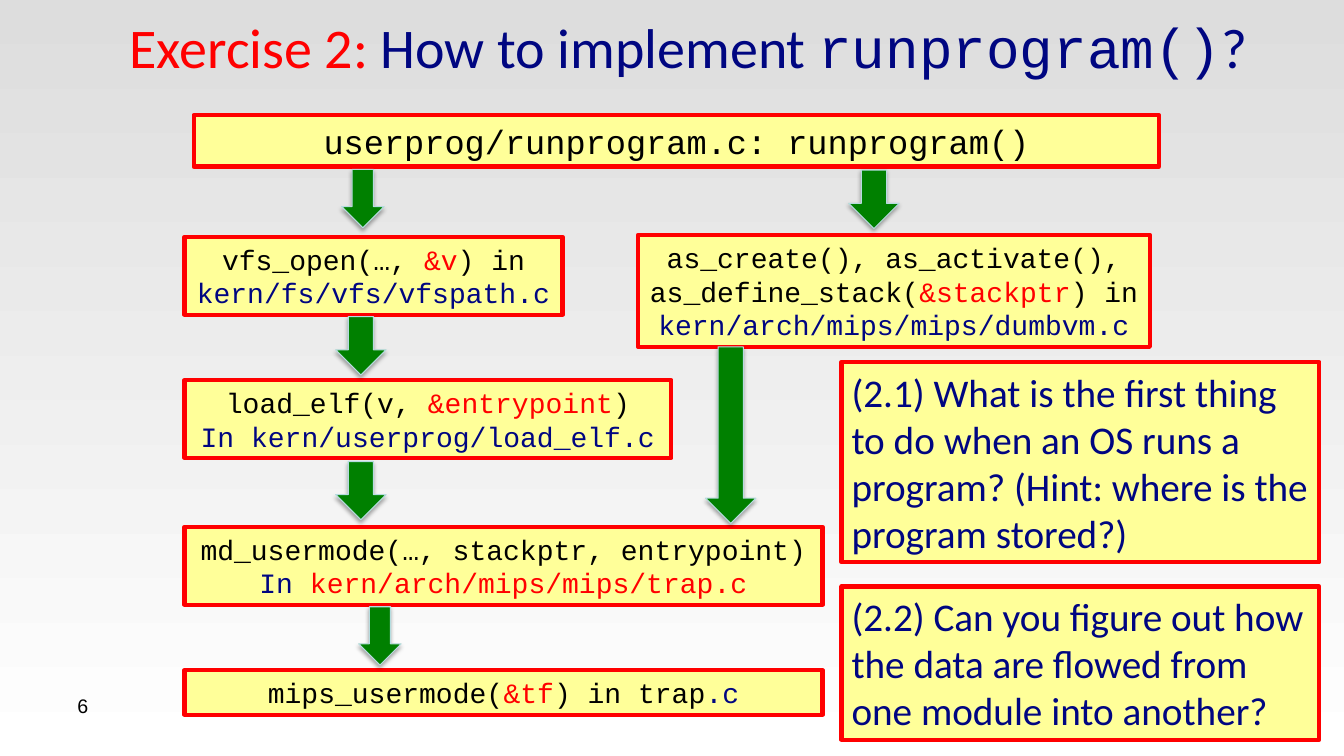
"""Build the slide on how runprogram() is implemented."""
from lxml.etree import SubElement
from pptx import Presentation
from pptx.dml.color import RGBColor
from pptx.enum.shapes import MSO_SHAPE as Shape
from pptx.enum.text import MSO_ANCHOR as Anchor, MSO_AUTO_SIZE as AutoSize, PP_ALIGN as Align
from pptx.oxml.ns import qn
from pptx.util import Cm, Pt

RED, NAVY, BLACK = "FF0000", "000681", "000000"
YELLOW, GREEN, PALE_BLUE = "FFFF99", "008000", "B6DCDF"
CODE, BODY = "Courier New", "Calibri"


def color(value):
    return RGBColor.from_string(value)


def write(box, lines, size, font, align=Align.LEFT, anchor=Anchor.MIDDLE, fit=AutoSize.NONE):
    frame = box.text_frame
    layout = {"word_wrap": True, "vertical_anchor": anchor, "auto_size": fit}
    for name, value in layout.items():
        setattr(frame, name, value)
    for index, line in enumerate(lines):
        para = frame.add_paragraph() if index else frame.paragraphs[0]
        para.alignment = align
        for text, shade, *other_font in line:
            span = para.add_run()
            span.text = text
            style = {"size": Pt(size), "name": other_font[0] if other_font else font}
            for name, value in style.items():
                setattr(span.font, name, value)
            span.font.color.rgb = color(shade)


deck = Presentation()
deck.slide_width, deck.slide_height = Cm(33.87), Cm(19.05)
page = deck.slides.add_slide(deck.slide_layouts[6])

backdrop = page.background.fill
backdrop.gradient()
backdrop.gradient_angle = 270
for stop, shade in zip(backdrop.gradient_stops, ("DDDDDD", "FFFFFF")):
    stop.color.rgb = color(shade)

title = page.shapes.add_textbox(Cm(1.9), Cm(0.43), Cm(30.89), Cm(1.47))
write(title, [[("Exercise 2: ", RED), ("How to implement ", NAVY),
               ("runprogram()", NAVY, CODE), ("?", NAVY)]], 40, BODY, Align.CENTER)

code_style = (20, CODE, Align.CENTER)
question_style = (28, BODY, Align.LEFT)
boxes = [
    ((4.88, 2.9, 24.33, 1.3), (24, CODE, Align.CENTER),
     [[("userprog/runprogram.c: runprogram()", BLACK)]]),
    ((4.65, 5.97, 9.53, 1.96), code_style,
     [[("vfs_open(…, ", BLACK), ("&v", RED), (") in", BLACK)],
      [("kern/fs/vfs/vfspath.c", NAVY)]]),
    ((16.08, 5.92, 12.9, 2.82), code_style,
     [[("as_create(), as_activate(), as_define_stack(", BLACK), ("&stackptr", RED), (") in", BLACK)],
      [("kern/arch/mips/mips/dumbvm.c", NAVY)]]),
    ((4.65, 9.58, 12.27, 1.96), code_style,
     [[("load_elf(v, ", BLACK), ("&entrypoint", RED), (")", BLACK)],
      [("In kern/userprog/load_elf.c", NAVY)]]),
    ((4.65, 13.28, 16.08, 1.96), code_style,
     [[("md_usermode(…, stackptr, entrypoint)", BLACK)],
      [("In ", NAVY), ("kern/arch/mips/mips/trap.c", RED)]]),
    ((4.65, 16.89, 16.08, 1.12), code_style,
     [[("mips_usermode(", BLACK), ("&tf", RED), (") in trap", BLACK), (".c", NAVY)]]),
    ((21.21, 9.12, 12.04, 5.05), question_style,
     [[("(2.1) What is the first thing to do when an OS runs a program? "
        "(Hint: where is the program stored?)", NAVY)]]),
    ((21.21, 14.78, 12.04, 3.86), question_style,
     [[("(2.2) Can you figure out how the data are flowed from one module into another?", NAVY)]]),
]
for place, style, lines in boxes:
    box = page.shapes.add_shape(Shape.RECTANGLE, *map(Cm, place))
    box.shadow.inherit = False
    box.fill.solid()
    box.fill.fore_color.rgb = color(YELLOW)
    box.line.color.rgb = color(RED)
    box.line.width = Pt(3)
    write(box, lines, *style, fit=AutoSize.SHAPE_TO_FIT_TEXT)

arrows = [
    (8.61, 4.27, 1.07, 1.47),
    (21.39, 4.29, 1.27, 1.47),
    (8.46, 7.98, 1.27, 1.47),
    (8.46, 11.63, 1.27, 1.47),
    (17.78, 8.74, 1.27, 4.45),
    (9.04, 15.29, 1.07, 1.47),
]
for place in arrows:
    arrow = page.shapes.add_shape(Shape.DOWN_ARROW, *map(Cm, place))
    arrow.shadow.inherit = False
    arrow.fill.solid()
    arrow.fill.fore_color.rgb = color(GREEN)
    arrow.line.color.rgb = color(PALE_BLUE)
    arrow.line.width = Pt(0.75)
    effects = arrow._element.spPr.find(qn("a:effectLst"))
    shadow = SubElement(effects, qn("a:outerShdw"), blurRad=str(Pt(3.1)), dist=str(Pt(1.8)),
                        dir="5400000", rotWithShape="0")
    tint = SubElement(shadow, qn("a:srgbClr"), val=BLACK)
    SubElement(tint, qn("a:alpha"), val="35000")

number = page.shapes.add_textbox(Cm(1.7), Cm(17.35), Cm(7.9), Cm(1.32))
write(number, [[("6", BLACK)]], 14, "Arial", anchor=Anchor.TOP)

deck.save("out.pptx")
